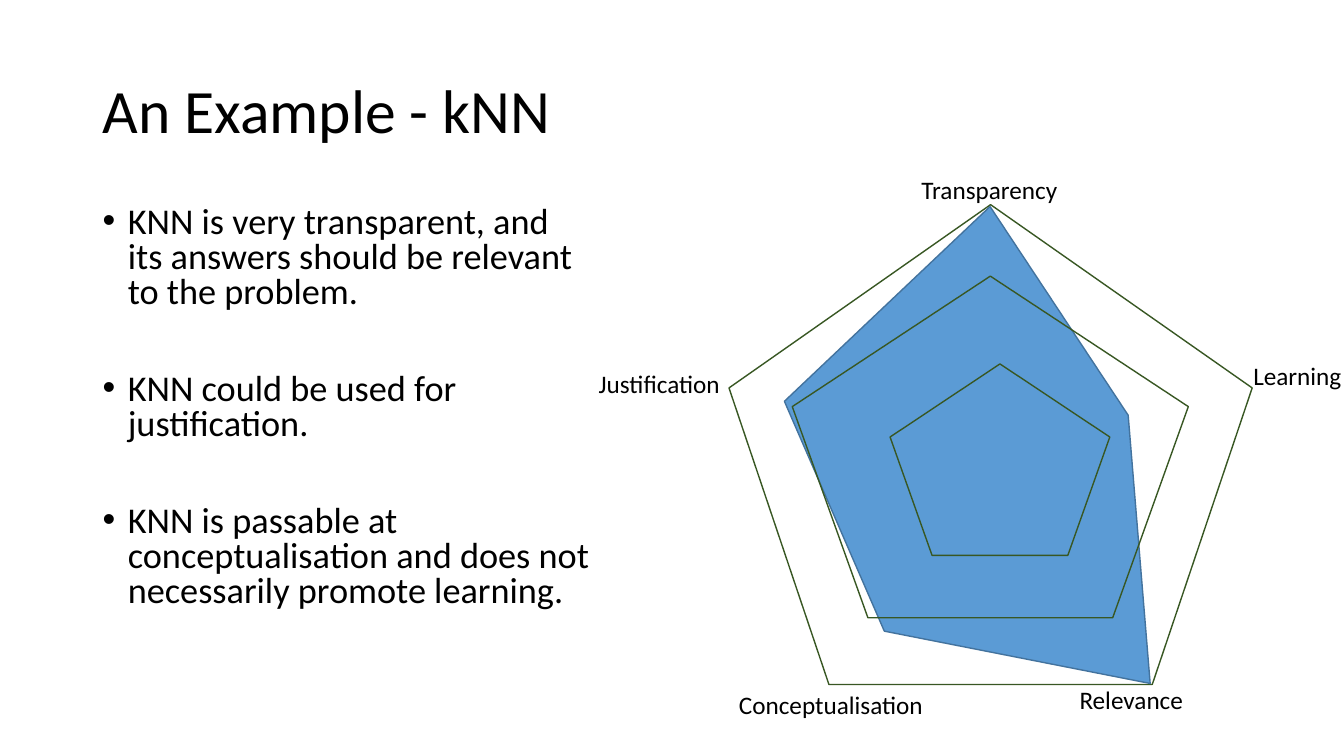
from collections import namedtuple

from lxml import etree
from pptx import Presentation
from pptx.dml.color import RGBColor
from pptx.enum.shapes import MSO_SHAPE
from pptx.enum.text import MSO_ANCHOR
from pptx.oxml.ns import qn
from pptx.util import Inches, Pt

PENTAGON = MSO_SHAPE.REGULAR_PENTAGON
TOP, MIDDLE = MSO_ANCHOR.TOP, MSO_ANCHOR.MIDDLE
FONT = "Calibri"
BLACK, WHITE, GREEN = "000000", "FFFFFF", "385723"
BLUE, DARK_BLUE = "5B9BD5", "43739E"

Box = namedtuple("Box", "left top width height")

TITLE = "An Example - kNN"
POINTS = [
    "KNN is very transparent, and its answers should be relevant to the problem.",
    "KNN could be used for justification.",
    "KNN is passable at conceptualisation and does not necessarily promote learning.",
]

# Radar parts, in percent of the radar box
OUTER_RING = Box(0, 0, 100, 100)
INNER_RINGS = [Box(12.1, 14.9, 75.7, 71.2), Box(30.8, 33.2, 42, 39.9)]
SCORES = [(29.7, 88.9), (10.6, 41), (49.9, 0.4), (76.3, 43.9), (80.5, 99.8)]
LABEL_HEIGHT = 8.4
LABELS = [  # text, left, top, width
    ("Transparency", 34.9, -7.4, 30.3),
    ("Justification", -26.8, 33, 30.3),
    ("Conceptualisation", 0, 100, 39.9),
    ("Relevance", 65.1, 98.9, 25.4),
    ("Learning", 98.3, 31.5, 19.2),
]


def colour(value):
    return RGBColor.from_string(value)


def inside(box, part):
    """Turn a part given in percent of a box into slide lengths."""
    return Box(
        int(box.left + box.width * part.left / 100),
        int(box.top + box.height * part.top / 100),
        int(box.width * part.width / 100),
        int(box.height * part.height / 100),
    )


def add_text(page, box, lines, size, anchor=TOP, spacing=1.0):
    frame = page.shapes.add_textbox(*box).text_frame
    frame.word_wrap = True
    frame.vertical_anchor = anchor
    frame.text = "\n".join(lines)
    for para in frame.paragraphs:
        para.line_spacing = spacing
        for span in para.runs:
            span.font.name = FONT
            span.font.size = Pt(size)
            span.font.color.rgb = colour(BLACK)
    return frame


def style(shape, line, fill=None):
    shape.shadow.inherit = False
    shape.line.color.rgb = colour(line)
    shape.line.width = Pt(1)
    if fill:
        shape.fill.solid()
        shape.fill.fore_color.rgb = colour(fill)
    else:
        shape.fill.background()


def add_bullets(page, box):
    frame = add_text(page, box, POINTS, 25.9, spacing=0.8)
    for index, para in enumerate(frame.paragraphs):
        para.space_before = Pt(44.7 if index else 10)
        properties = para._p.get_or_add_pPr()
        properties.set("marL", str(Inches(0.25)))
        properties.set("indent", str(Inches(-0.25)))
        etree.SubElement(properties, qn("a:buFont"), typeface="Arial")
        etree.SubElement(properties, qn("a:buChar"), char="•")


def add_radar(page, box):
    def ring(part, fill=None):
        style(page.shapes.add_shape(PENTAGON, *inside(box, part)), GREEN, fill)

    # Outer ring and axis labels
    ring(OUTER_RING, WHITE)
    for text, left, top, width in LABELS:
        place = inside(box, Box(left, top, width, LABEL_HEIGHT))
        add_text(page, place, [text], 18).margin_right = 0

    # Scored area
    corners = [inside(box, Box(x, y, 0, 0))[:2] for x, y in SCORES]
    builder = page.shapes.build_freeform(*corners[0])
    builder.add_line_segments(corners[1:], close=True)
    style(builder.convert_to_shape(), DARK_BLUE, BLUE)

    # Inner rings lie over the area
    for part in INNER_RINGS:
        ring(part)


deck = Presentation()
deck.slide_width, deck.slide_height = Inches(13.33), Inches(7.5)
page = deck.slides.add_slide(deck.slide_layouts[6])
slide_box = Box(0, 0, deck.slide_width, deck.slide_height)

title_box = inside(slide_box, Box(6.9, 5.33, 86.25, 19.33))
add_text(page, title_box, [TITLE], 44, MIDDLE, 0.9)
add_bullets(page, inside(slide_box, Box(6.9, 26.67, 37.8, 63.47)))
add_radar(page, inside(slide_box, Box(54.24, 27.07, 38.93, 63.47)))

deck.save("out.pptx")
